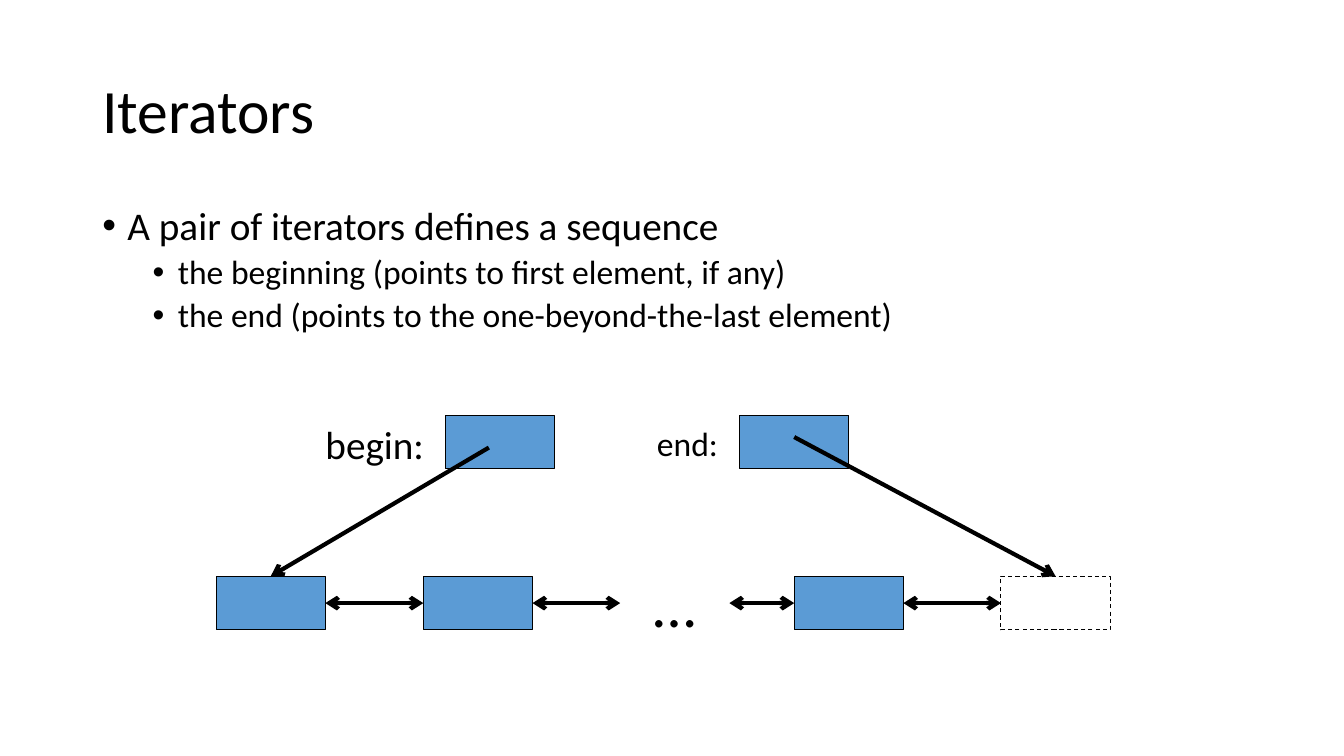
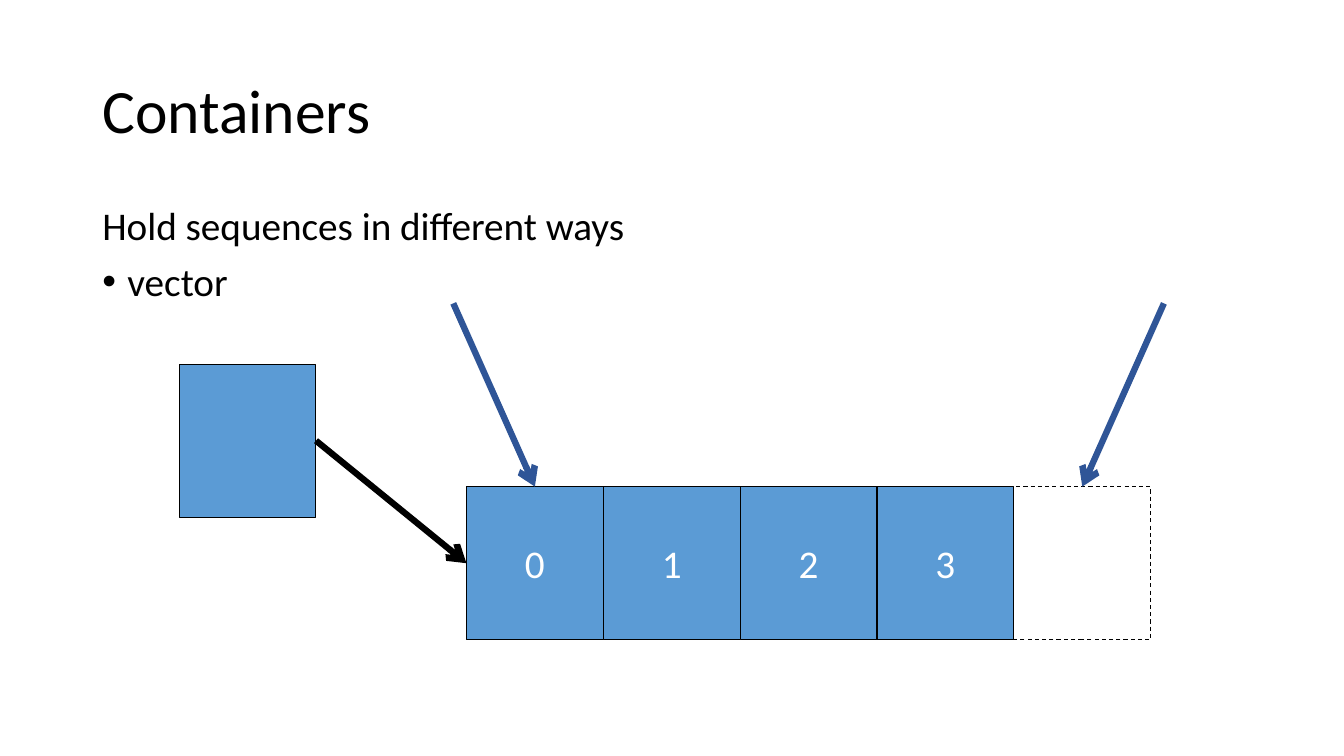
from pptx import Presentation
from pptx import util as u
from pptx.dml.color import RGBColor
from pptx.enum import dml, shapes, text
from pptx.oxml.ns import qn
from lxml import etree

# Content: body rows are (text, level), level None has no bullet
ITERATORS = {
    "title": "Iterators",
    "body": [("A pair of iterators defines a sequence", 0),
             ("the beginning (points to first element, if any)", 1),
             ("the end (points to the one-beyond-the-last element)", 1)],
}
CONTAINERS = {
    "title": "Containers",
    "body": [("Hold sequences in different ways", None), ("vector", 0)],
}
VECTOR_ITEMS = ["0", "1", "2", "3"]

# Shared style
FONT = "Calibri"
COLORS = {"ink": "000000", "paper": "FFFFFF", "box": "5B9BD5", "iterator": "2F5597"}
LEFT, WIDTH = 66, 828
LEVELS = {None: (28, 10, 0), 0: (28, 10, 18), 1: (24, 5, 54)}  # size, space before, indent
HANGING = 18


def color(name):
    return RGBColor.from_string(COLORS[name])


def style(para, size, name="ink"):
    for span in para.runs:
        span.font.name = FONT
        span.font.size = u.Pt(size)
        span.font.color.rgb = color(name)


def add_text(page, words, left, top, width, height, size):
    box = page.shapes.add_textbox(*map(u.Pt, (left, top, width, height)))
    frame = box.text_frame
    frame.word_wrap = True
    frame.text = words
    for para in frame.paragraphs:
        style(para, size)
    return frame


def add_page(deck, content):
    page = deck.slides.add_slide(deck.slide_layouts[6])
    title = add_text(page, content["title"], LEFT, 28.75, WIDTH, 104.4, 44)
    title.vertical_anchor = text.MSO_ANCHOR.MIDDLE
    title.paragraphs[0].line_spacing = 0.9
    rows = content["body"]
    body = add_text(page, "\n".join(row[0] for row in rows), LEFT, 143.75, WIDTH, 342.6, 28)
    for para, (_, level) in zip(body.paragraphs, rows):
        size, before, indent = LEVELS[level]
        style(para, size)
        para.level = level or 0
        para.line_spacing = 0.9
        para.space_before = u.Pt(before)
        if level is not None:
            props = para._p.get_or_add_pPr()
            props.set("marL", str(u.Pt(indent)))
            props.set("indent", str(-u.Pt(HANGING)))
            etree.SubElement(props, qn("a:buFont")).set("typeface", "Arial")
            etree.SubElement(props, qn("a:buChar")).set("char", "•")
    return page


def add_box(page, left, top, size, words="", filled=True, outline="ink",
            dash=None, font_size=28, font_color="paper"):
    box = page.shapes.add_shape(shapes.MSO_SHAPE.RECTANGLE, *map(u.Pt, (left, top, *size)))
    box.shadow.inherit = False
    if filled:
        box.fill.solid()
        box.fill.fore_color.rgb = color("box")
    else:
        box.fill.background()
    box.line.color.rgb = color(outline)
    box.line.width = u.Pt(0.75)
    if dash:
        box.line.dash_style = dash
    if words:
        frame = box.text_frame
        frame.text = words
        frame.word_wrap = False
        frame.vertical_anchor = text.MSO_ANCHOR.MIDDLE
        frame.paragraphs[0].alignment = text.PP_ALIGN.CENTER
        style(frame.paragraphs[0], font_size, font_color)


def add_arrow(page, start, end, width, name="ink", both=False):
    line = page.shapes.add_connector(shapes.MSO_CONNECTOR.STRAIGHT,
                                     *map(u.Pt, (*start, *end)))
    line.line.color.rgb = color(name)
    line.line.width = u.Pt(width)
    stroke = line.line._get_or_add_ln()
    for tag in ("a:headEnd", "a:tailEnd") if both else ("a:tailEnd",):
        etree.SubElement(stroke, qn(tag)).set("type", "arrow")
    etree.SubElement(line._element.spPr, qn("a:effectLst"))


deck = Presentation()
deck.slide_width, deck.slide_height = u.Pt(960), u.Pt(540)
DASH = dml.MSO_LINE.DASH

# Iterators: a linked sequence below its two iterators
page = add_page(deck, ITERATORS)
NODE = (78, 38.4)
NODE_TOP, POINTER_TOP = 411.6, 296.6
node_lefts = [154.4, 302.4, 443, 567.3, 715]
node_styles = [{}, {},
               {"words": "…", "filled": False, "outline": "paper",
                "dash": dml.MSO_LINE.ROUND_DOT, "font_size": 44, "font_color": "ink"},
               {}, {"filled": False, "dash": DASH}]
for left, options in zip(node_lefts, node_styles):
    add_box(page, left, NODE_TOP, NODE, **options)
middle = NODE_TOP + NODE[1] / 2
for left, following in zip(node_lefts, node_lefts[1:]):
    add_arrow(page, (left + NODE[0], middle), (following, middle), 3, both=True)

# label, label left, label top, size, pointer left, arrow start, target node
pointers = [("begin:", 225.4, 296.6, 28, 318, (349.2, 319.7), node_lefts[0]),
            ("end:", 462.2, 298.8, 24, 528.4, (567.3, 312.2), node_lefts[-1])]
for label, label_left, label_top, size, left, start, target in pointers:
    add_box(page, left, POINTER_TOP, NODE)
    add_arrow(page, start, (target + NODE[0] / 2, NODE_TOP), 3)
    add_text(page, label, label_left, label_top, 101.5, 40, size)

# Containers: a vector handle pointing at adjoining cells
page = add_page(deck, CONTAINERS)
CELL = (97.75, 109.4)
HANDLE_LEFT, HANDLE_TOP = 128, 260.4
ROW_LEFT, ROW_TOP = 333.2, 347.6
add_box(page, HANDLE_LEFT, HANDLE_TOP, CELL)
for index, item in enumerate(VECTOR_ITEMS):
    add_box(page, ROW_LEFT + index * CELL[0], ROW_TOP, CELL, item)
past_end = ROW_LEFT + len(VECTOR_ITEMS) * CELL[0]
add_box(page, past_end, ROW_TOP, CELL, filled=False, dash=DASH)
add_arrow(page, (HANDLE_LEFT + CELL[0], 314.8), (ROW_LEFT, ROW_TOP + CELL[1] / 2), 4.5)
for left, shift in ((past_end, 58.3), (ROW_LEFT, -58.3)):
    target = left + CELL[0] / 2
    add_arrow(page, (target + shift, 216.7), (target, ROW_TOP), 4.5, "iterator")

deck.save("out.pptx")
